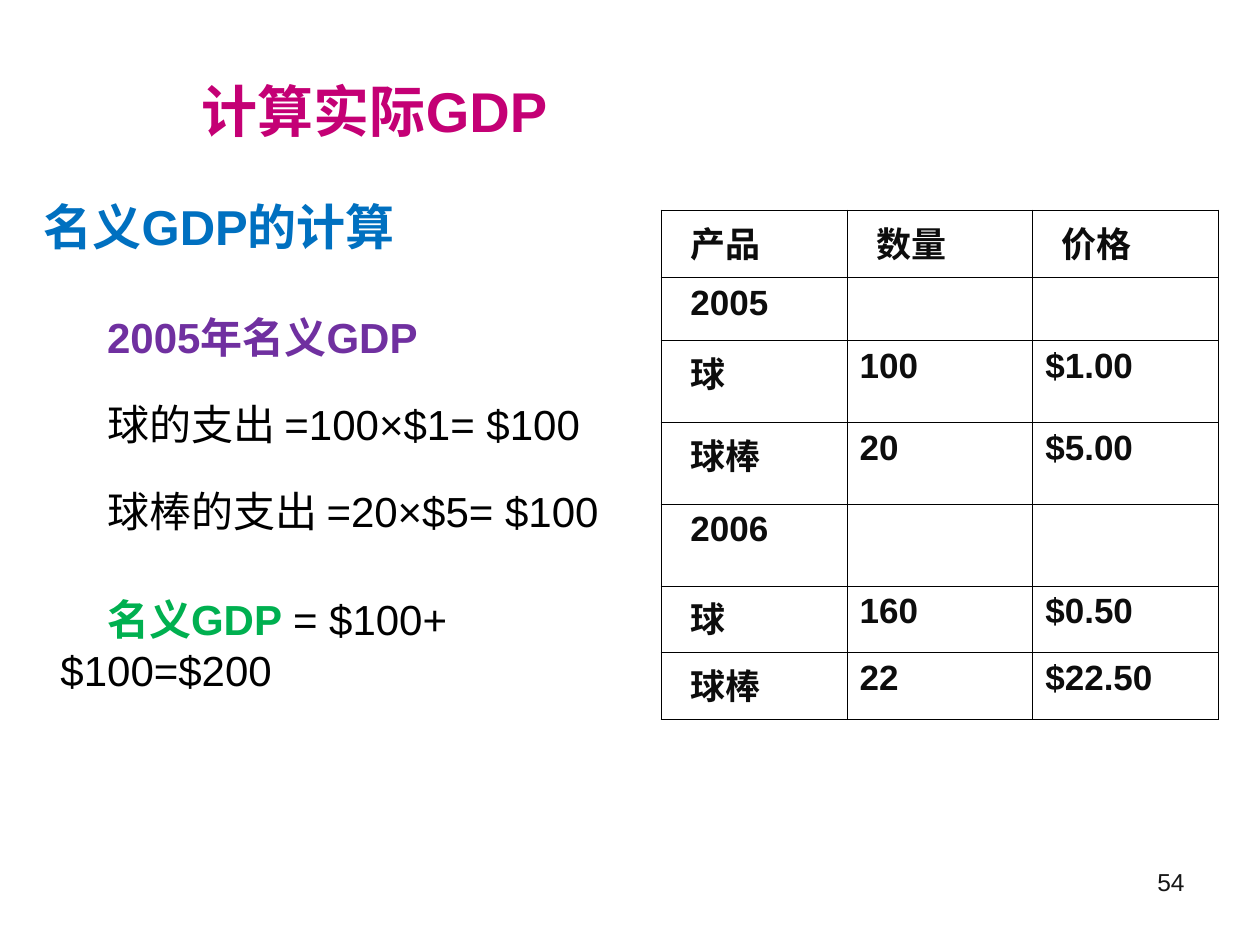
from lxml import etree
from pptx import Presentation
from pptx.dml.color import RGBColor
from pptx.enum.text import MSO_ANCHOR, MSO_AUTO_SIZE, PP_ALIGN
from pptx.oxml.ns import qn
from pptx.util import Inches, Pt

MAGENTA = RGBColor(0xC4, 0x00, 0x75)
BLUE = RGBColor(0x00, 0x70, 0xC0)
PURPLE = RGBColor(0x70, 0x30, 0xA0)
GREEN = RGBColor(0x00, 0xB0, 0x50)
BLACK = RGBColor(0x00, 0x00, 0x00)
DARK = RGBColor(0x0D, 0x0D, 0x0D)
GREY = RGBColor(0x16, 0x16, 0x16)


def write(paragraph, text, size, color, bold=False, align=PP_ALIGN.LEFT,
          before=0, after=0, margin=0, indent=0):
    """Add a run to a paragraph and set the paragraph's layout."""
    properties = paragraph._p.get_or_add_pPr()
    properties.set("marL", str(Inches(margin)))
    properties.set("indent", str(Inches(indent)))
    if properties.find(qn("a:buNone")) is None:
        etree.SubElement(properties, qn("a:buNone"))
    paragraph.alignment = align
    paragraph.space_before = Pt(before)
    paragraph.space_after = Pt(after)
    run = paragraph.add_run()
    run.text = text
    run.font.name = "Arial"
    run.font.size = Pt(size)
    run.font.bold = bold
    run.font.color.rgb = color


def set_border(cell, side, width):
    line = etree.SubElement(cell._tc.get_or_add_tcPr(), qn(f"a:ln{side}"), w=str(Pt(width)))
    fill = etree.SubElement(line, qn("a:solidFill"))
    etree.SubElement(fill, qn("a:srgbClr"), val=str(BLACK))


presentation = Presentation()
presentation.slide_width = Inches(10)
presentation.slide_height = Inches(7.5)
slide = presentation.slides.add_slide(presentation.slide_layouts[1])

# Title
title = slide.shapes.title
title.left, title.top, title.width, title.height = map(Inches, (1.5, 0.25, 9, 1.25))
title.text_frame.auto_size = MSO_AUTO_SIZE.NONE
title.text_frame.vertical_anchor = MSO_ANCHOR.MIDDLE
write(title.text_frame.paragraphs[0], "计算实际GDP", 32, MAGENTA, bold=True)

# Calculation steps: space before, then runs of text, colour and weight
steps = [
    (0, [("2005年名义GDP", PURPLE, True)]),
    (6, [("球的支出 =100×$1= $100", BLACK, False)]),
    (6, [("球棒的支出 =20×$5= $100", BLACK, False)]),
    (18, [("名义GDP ", GREEN, True), ("= $100+ $100=$200", BLACK, False)]),
]
body = slide.placeholders[1]
body.left, body.top, body.width, body.height = map(Inches, (0.25, 2.42, 5, 3.5))
body.text_frame.auto_size = MSO_AUTO_SIZE.NONE
for index, (before, runs) in enumerate(steps):
    frame = body.text_frame
    paragraph = frame.add_paragraph() if index else frame.paragraphs[0]
    paragraph.level = 1
    for text, color, bold in runs:
        write(paragraph, text, 24, color, bold=bold, before=before, after=15,
              margin=0.13, indent=0.37)

# Table of quantities and prices
rows = [
    (0.53, "产品", "数量", "价格"),
    (0.5, "2005", "", ""),
    (0.65, "球", "100", "$1.00"),
    (0.65, "球棒", "20", "$5.00"),
    (0.65, "2006", "", ""),
    (0.53, "球", "160", "$0.50"),
    (0.53, "球棒", "22", "$22.50"),
]
THIN, THICK = 0.45, 1.08
last_row, last_column = len(rows) - 1, 2
table = slide.shapes.add_table(len(rows), 3, Inches(5.25), Inches(1.67),
                               Inches(4.42), Inches(4.04)).table
table.first_row = False
table.horz_banding = False
for column in table.columns:
    column.width = Inches(4.42 / 3)
for row, (height, *texts) in enumerate(rows):
    table.rows[row].height = Inches(height)
    for column, text in enumerate(texts):
        cell = table.cell(row, column)
        outer_sides = {"L": column == 0, "R": column == last_column,
                       "T": row == 0, "B": row == last_row}
        for side, outer in outer_sides.items():
            set_border(cell, side, THICK if outer else THIN)
        cell.fill.background()
        if text:
            label = row == 0 or column == 0
            write(cell.text_frame.paragraphs[0], text, 20, DARK, bold=True,
                  after=5, margin=0.13 if label else 0)

# Section heading and page number
boxes = [
    ((0.25, 1.17, 9, 1.25), MSO_ANCHOR.MIDDLE, "名义GDP的计算", 28, BLUE, True, PP_ALIGN.LEFT),
    ((7.17, 6.83, 2.33, 0.52), MSO_ANCHOR.TOP, "54", 14, GREY, False, PP_ALIGN.RIGHT),
]
for position, anchor, text, size, color, bold, align in boxes:
    frame = slide.shapes.add_textbox(*map(Inches, position)).text_frame
    frame.word_wrap = True
    frame.vertical_anchor = anchor
    write(frame.paragraphs[0], text, size, color, bold=bold, align=align)

presentation.save("out.pptx")
